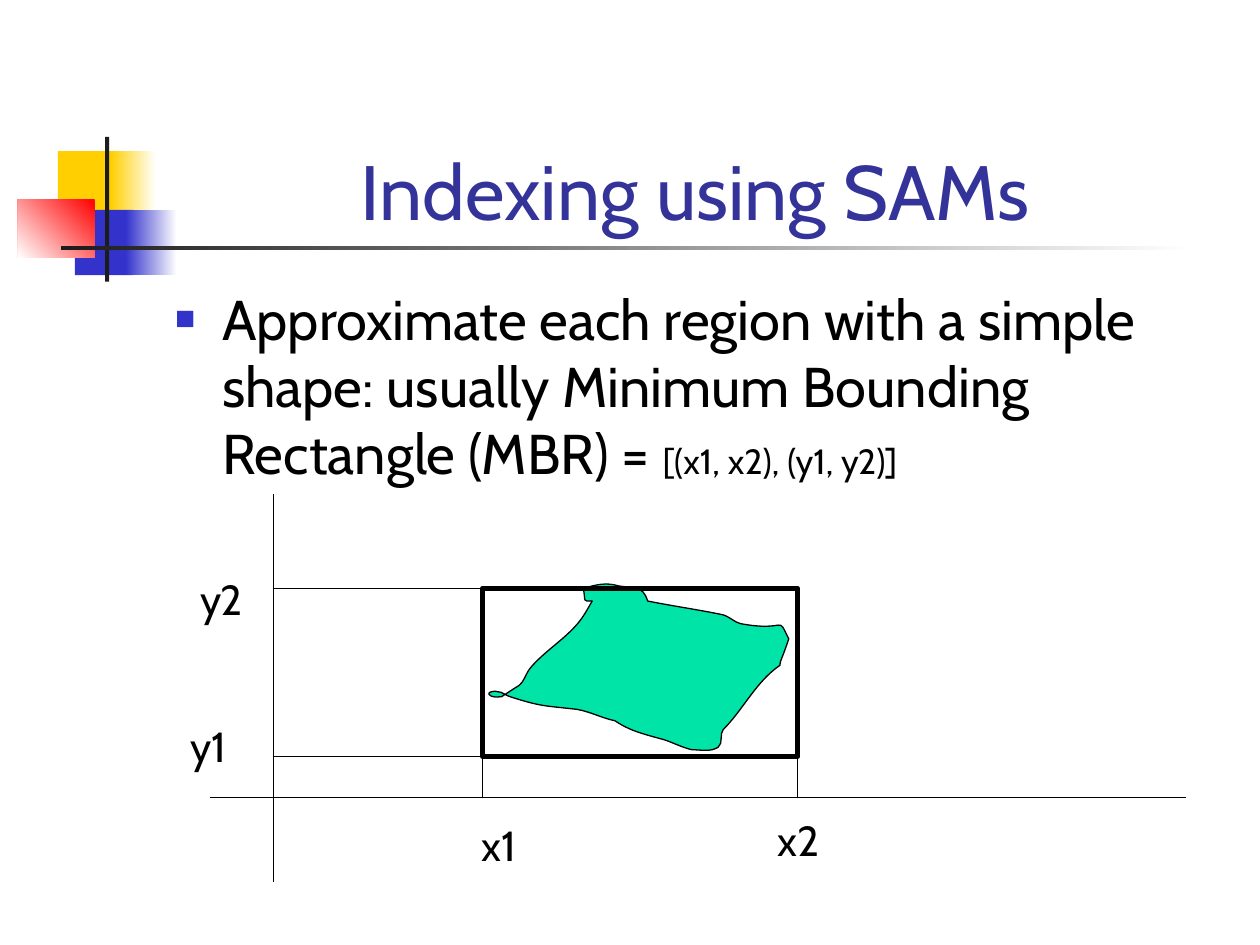
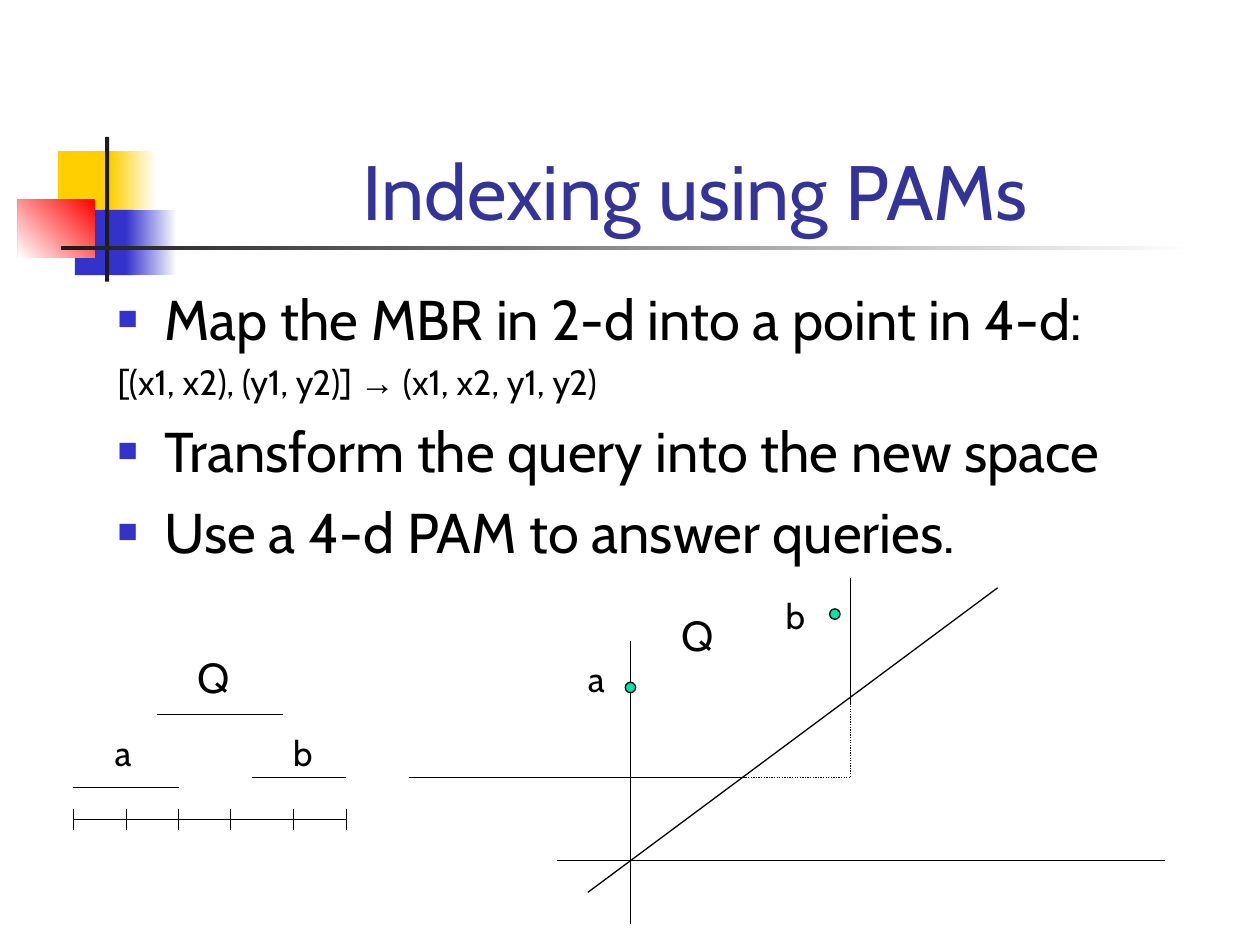
from itertools import chain

from lxml.etree import SubElement
from pptx import Presentation
from pptx.dml.color import RGBColor
from pptx.enum.dml import MSO_LINE
from pptx.enum.shapes import MSO_CONNECTOR, MSO_SHAPE
from pptx.enum.text import MSO_ANCHOR, PP_ALIGN
from pptx.oxml.ns import qn
from pptx.util import Cm, Pt

FONT = "Cabin"
BLACK, WHITE, CHARCOAL = "000000", "FFFFFF", "1C1C1C"
YELLOW, BLUE, RED = "FFCF01", "3333CC", "FF0000"
TITLE_BLUE, REGION_GREEN = "333399", "00E4A8"
HAIRLINE = 0.75

# Region outline in hundredths of an inch: a start, then cubic curve segments
REGION_START = (470, 477)
REGION_CURVES = [
    ((467, 482), (464, 488), (460, 493)), ((449, 507), (433, 516), (421, 530)),
    ((417, 535), (416, 541), (412, 544)), ((407, 547), (398, 553), (398, 553)),
    ((395, 553), (390, 554), (388, 551)), ((387, 549), (393, 548), (395, 549)),
    ((399, 549), (401, 552), (405, 553)), ((430, 561), (432, 560), (458, 563)),
    ((469, 565), (478, 570), (488, 572)), ((500, 580), (509, 582), (523, 586)),
    ((532, 588), (540, 593), (549, 595)), ((556, 595), (564, 597), (570, 593)),
    ((574, 590), (571, 582), (574, 579)), ((590, 563), (600, 541), (619, 528)),
    ((619, 526), (620, 523), (621, 521)), ((623, 516), (626, 507), (626, 507)),
    ((616, 487), (626, 502), (588, 495)), ((583, 494), (580, 490), (574, 488)),
    ((555, 484), (534, 481), (514, 477)), ((510, 464), (503, 467), (491, 465)),
    ((481, 462), (473, 464), (463, 467)), ((465, 478), (462, 477), (470, 477)),
]


def color(hex_value):
    return RGBColor.from_string(hex_value)


def style_shape(shape, fill=None, outline=None, width=HAIRLINE):
    shape.shadow.inherit = False
    if fill:
        shape.fill.solid()
        shape.fill.fore_color.rgb = color(fill)
    else:
        shape.fill.background()
    if outline:
        shape.line.color.rgb = color(outline)
        shape.line.width = Pt(width)
    else:
        shape.line.fill.background()


def add_block(slide, left, top, width, height, fill=None, outline=None,
              line_width=HAIRLINE, preset=MSO_SHAPE.RECTANGLE):
    block = slide.shapes.add_shape(preset, Cm(left), Cm(top), Cm(width), Cm(height))
    style_shape(block, fill, outline, line_width)
    return block


def add_fade(slide, left, top, width, height, hue, angle=0):
    """A rectangle fading from the hue to white."""
    fade = add_block(slide, left, top, width, height)
    fade.fill.gradient()
    fade.fill.gradient_angle = angle
    for stop, tone in zip(fade.fill.gradient_stops, (hue, WHITE)):
        stop.color.rgb = color(tone)


def add_line(slide, x1, y1, x2, y2, dotted=False):
    line = slide.shapes.add_connector(
        MSO_CONNECTOR.STRAIGHT, Cm(x1), Cm(y1), Cm(x2), Cm(y2))
    line.line.color.rgb = color(BLACK)
    line.line.width = Pt(HAIRLINE)
    if dotted:
        line.line.dash_style = MSO_LINE.ROUND_DOT
    SubElement(line._element.spPr, qn("a:effectLst"))


def add_dot(slide, center_x, center_y, size=0.21):
    add_block(slide, center_x - size / 2, center_y - size / 2, size, size,
              REGION_GREEN, BLACK, preset=MSO_SHAPE.OVAL)


def add_frame(slide, left, top, width, height, wrap=True):
    frame = slide.shapes.add_textbox(
        Cm(left), Cm(top), Cm(width), Cm(height)).text_frame
    frame.word_wrap = wrap
    return frame


def set_font(paragraph, size, hue=BLACK):
    paragraph.font.name = FONT
    paragraph.font.size = Pt(size)
    paragraph.font.color.rgb = color(hue)


def add_label(slide, text, left, top, size=24):
    width, height = (1.42, 1.27) if len(text) > 1 else (0.05 * size, 0.05 * size)
    label = add_frame(slide, left, top, width, height, wrap=False).paragraphs[0]
    label.text = text
    set_font(label, size)


def indent(paragraph, bulleted):
    """Set the hanging indent and, for list items, the square bullet."""
    properties = paragraph._p.get_or_add_pPr()
    properties.set("marL", str(Cm(0.95)))
    properties.set("indent", str(-Cm(0.95)))
    if bulleted:
        tint = SubElement(properties, qn("a:buClr"))
        SubElement(tint, qn("a:srgbClr"), val=BLUE)
        SubElement(properties, qn("a:buSzPct"), val="60000")
        SubElement(properties, qn("a:buFont"), typeface="Arial")
        SubElement(properties, qn("a:buChar"), char="■")


def add_body(slide, left, width, items):
    """Each item is (bulleted, size, runs); a run is (text, size, font)."""
    frame = add_frame(slide, left, 5.61, width, 11.43)
    for number, (bulleted, size, runs) in enumerate(items):
        item = frame.add_paragraph() if number else frame.paragraphs[0]
        indent(item, bulleted)
        if number:
            item.space_before = Pt(8 if bulleted else 5)
        set_font(item, size)
        for text, run_size, run_font in runs:
            run = item.add_run()
            run.text = text
            if run_size:
                run.font.size = Pt(run_size)
            if run_font:
                run.font.name = run_font


def add_titled_slide(deck, title):
    slide = deck.slides.add_slide(deck.slide_layouts[6])
    # Corner ornament and rule
    add_block(slide, 1.17, 3.05, 1.22, 1.32, YELLOW)
    add_fade(slide, 2.23, 3.05, 0.91, 1.32, YELLOW)
    add_block(slide, 1.51, 4.23, 1.17, 1.32, BLUE)
    add_fade(slide, 2.54, 4.23, 1.02, 1.32, BLUE)
    add_fade(slide, 0.36, 4.02, 1.55, 1.17, RED, angle=225)
    add_block(slide, 2.12, 2.76, 0.08, 2.92, CHARCOAL)
    add_fade(slide, 1.23, 4.95, 22.86, 0.09, CHARCOAL)
    # Title
    frame = add_frame(slide, 3.2, 1.71, 21.64, 3.18)
    frame.vertical_anchor = MSO_ANCHOR.BOTTOM
    heading = frame.paragraphs[0]
    heading.text = title
    heading.alignment = PP_ALIGN.CENTER
    set_font(heading, 44, TITLE_BLUE)
    return slide


def bend_segments(shape):
    """Turn every three straight segments into one cubic curve."""
    segments = list(shape._element.iter(qn("a:lnTo")))
    for first, second, third in zip(*[iter(segments)] * 3):
        first.tag = qn("a:cubicBezTo")
        for segment in (second, third):
            first.append(segment[0])
            segment.getparent().remove(segment)


def add_region(slide):
    outline = slide.shapes.build_freeform(*REGION_START, scale=Cm(2.54) / 100)
    outline.add_line_segments(chain.from_iterable(REGION_CURVES), close=True)
    region = outline.convert_to_shape()
    bend_segments(region)
    style_shape(region, REGION_GREEN, BLACK)


def add_bounding_rectangle(slide):
    x1, x2, y2, y1 = 9.73, 16.08, 11.86, 15.25
    axis_x, axis_y = 5.51, 16.08
    add_region(slide)
    add_block(slide, x1, y2, x2 - x1, y1 - y2, outline=BLACK, line_width=3)
    # Axes and projections
    add_line(slide, axis_x, 9.95, axis_x, 17.78)
    add_line(slide, 4.23, axis_y, 23.91, axis_y)
    for x in (x1, x2):
        add_line(slide, x, y1, x, axis_y)
    for y in (y1, y2):
        add_line(slide, x1, y, axis_x, y)
    add_label(slide, "x1", 9.45, 16.39)
    add_label(slide, "x2", 15.43, 16.3)
    add_label(slide, "y1", 3.59, 14.4)
    add_label(slide, "y2", 3.8, 11.43)


def add_intervals(slide):
    ticks = (1.48, 2.55, 3.6, 4.65, 5.92, 6.98)
    scale_y = 16.52
    add_line(slide, ticks[0], scale_y, ticks[-1], scale_y)
    for x in ticks:
        add_line(slide, x, scale_y - 0.21, x, scale_y + 0.21)
    for start, end, y in ((1.48, 3.6, 15.88), (3.17, 5.71, 14.4), (5.08, 6.98, 15.67)):
        add_line(slide, start, y, end, y)
    add_label(slide, "a", 2.06, 14.63, 20)
    add_label(slide, "b", 5.66, 14.63, 20)
    add_label(slide, "Q", 3.73, 13)


def add_query_plane(slide):
    origin_x, origin_y = 12.71, 17.35
    query_x, query_y = 17.15, 15.67
    # Axes and diagonal
    add_line(slide, origin_x, 12.92, origin_x, 18.63)
    add_line(slide, 11.22, origin_y, 23.49, origin_y)
    add_line(slide, 11.85, 17.99, 20.11, 11.85)
    # Query region, dotted below the diagonal
    add_line(slide, 15.03, query_y, 8.25, query_y)
    add_line(slide, query_x, 14.18, query_x, 11.65)
    add_line(slide, 15.03, query_y, query_x, query_y, dotted=True)
    add_line(slide, query_x, 14.18, query_x, query_y, dotted=True)
    # Mapped intervals
    add_dot(slide, 16.83, 12.38)
    add_dot(slide, origin_x, 13.86)
    add_label(slide, "Q", 13.48, 12.17)
    add_label(slide, "a", 11.6, 13.13, 20)
    add_label(slide, "b", 15.59, 11.86, 20)


def main():
    deck = Presentation()
    deck.slide_width, deck.slide_height = Cm(25.4), Cm(19.05)

    # Minimum bounding rectangles
    sams = add_titled_slide(deck, "Indexing using SAMs")
    add_body(sams, 3.28, 21.59, [
        (True, 32, [
            ("Approximate each region with a simple shape: usually "
             "Minimum Bounding Rectangle (MBR) = ", None, None),
            ("[(x1, x2), (y1, y2)]", 20, None)]),
    ])
    add_bounding_rectangle(sams)

    # Mapping rectangles to points
    pams = add_titled_slide(deck, "Indexing using PAMs")
    add_body(pams, 2.12, 22.75, [
        (True, 32, [("Map the MBR in 2-d into a point in 4-d:", None, None)]),
        (False, 20, [("[(x1, x2), (y1, y2)] ", None, None),
                     ("→", None, "Arial"),
                     (" (x1, x2, y1, y2)", None, None)]),
        (True, 32, [("Transform the query into the new space", None, None)]),
        (True, 32, [("Use a 4-d PAM to answer queries.", None, None)]),
    ])
    add_intervals(pams)
    add_query_plane(pams)

    deck.save("out.pptx")


if __name__ == "__main__":
    main()
